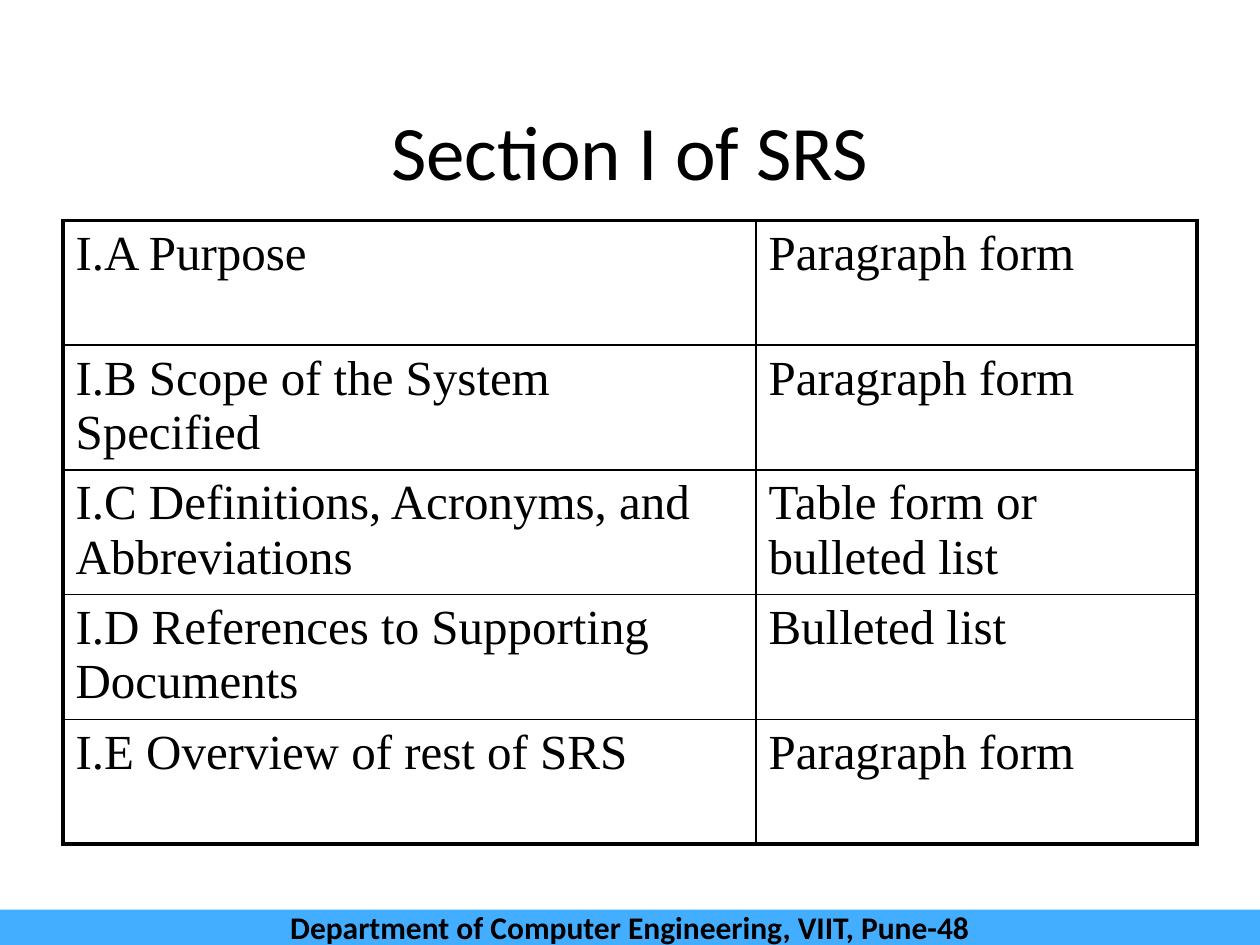
from dataclasses import dataclass

from lxml import etree
from pptx import Presentation
from pptx.dml.color import RGBColor
from pptx.enum.shapes import MSO_SHAPE
from pptx.enum.text import MSO_ANCHOR, PP_ALIGN
from pptx.oxml.ns import qn
from pptx.util import Inches, Pt

RECTANGLE = MSO_SHAPE.RECTANGLE
MIDDLE = MSO_ANCHOR.MIDDLE
TOP = MSO_ANCHOR.TOP
CENTER = PP_ALIGN.CENTER
LEFT = PP_ALIGN.LEFT

SLIDE_WIDTH, SLIDE_HEIGHT = Inches(10), Inches(7.5)
TITLE_ONLY_LAYOUT = 5


@dataclass(frozen=True)
class TextStyle:
    font: str
    size: float
    bold: bool = False


@dataclass(frozen=True)
class Theme:
    ink: str = "000000"
    bar: str = "43AEFF"
    title: TextStyle = TextStyle("Calibri", 44)
    cell: TextStyle = TextStyle("Times New Roman", 28)
    footer: TextStyle = TextStyle("Calibri", 18, True)
    outer_border: float = 2.25
    inner_border: float = 1


@dataclass(frozen=True)
class Section:
    name: str
    form: str


THEME = Theme()
COLUMN_WIDTHS = (5.5, 3.5)
ROW_HEIGHT = 0.99
SECTIONS = (
    Section("I.A Purpose", "Paragraph form"),
    Section("I.B Scope of the System Specified", "Paragraph form"),
    Section("I.C Definitions, Acronyms, and Abbreviations",
            "Table form or bulleted list"),
    Section("I.D References to Supporting Documents", "Bulleted list"),
    Section("I.E Overview of rest of SRS", "Paragraph form"),
)


def write(text_frame, text: str, style: TextStyle, alignment) -> None:
    paragraph = text_frame.paragraphs[0]
    paragraph.alignment = alignment
    run = paragraph.add_run()
    run.text = text
    run.font.name = style.font
    run.font.size = Pt(style.size)
    run.font.bold = style.bold
    run.font.color.rgb = RGBColor.from_string(THEME.ink)


def add_border(cell, side: str, is_outer: bool) -> None:
    width = THEME.outer_border if is_outer else THEME.inner_border
    properties = cell._tc.get_or_add_tcPr()
    line = etree.SubElement(properties, qn(f"a:ln{side}"), w=str(Pt(width)))
    fill = etree.SubElement(line, qn("a:solidFill"))
    etree.SubElement(fill, qn("a:srgbClr"), val=THEME.ink)


def add_title(slide, text: str) -> None:
    title = slide.shapes.title
    title.left, title.top = Inches(0.75), Inches(0.67)
    title.width, title.height = Inches(8.5), Inches(1.03)
    title.text_frame.vertical_anchor = MIDDLE
    write(title.text_frame, text, THEME.title, CENTER)


def add_section_table(slide, sections: tuple[Section, ...]) -> None:
    row_count, column_count = len(sections), len(COLUMN_WIDTHS)
    frame = slide.shapes.add_table(
        row_count, column_count, Inches(0.5), Inches(1.75),
        Inches(sum(COLUMN_WIDTHS)), Inches(ROW_HEIGHT * row_count))
    table = frame.table
    table.first_row = table.horz_banding = False
    for column, width in zip(table.columns, COLUMN_WIDTHS):
        column.width = Inches(width)

    for row_index, section in enumerate(sections):
        table.rows[row_index].height = Inches(ROW_HEIGHT)
        for column_index, text in enumerate((section.name, section.form)):
            cell = table.cell(row_index, column_index)
            cell.vertical_anchor = TOP
            write(cell.text_frame, text, THEME.cell, LEFT)
            # Heavy lines on the outside of the grid, thin ones inside
            add_border(cell, "L", column_index == 0)
            add_border(cell, "R", column_index == column_count - 1)
            add_border(cell, "T", row_index == 0)
            add_border(cell, "B", row_index == row_count - 1)
            cell.fill.background()


def add_footer_bar(slide, text: str) -> None:
    height = Inches(0.28)
    bar = slide.shapes.add_shape(
        RECTANGLE, 0, SLIDE_HEIGHT - height, SLIDE_WIDTH, height)
    bar.shadow.inherit = False
    bar.fill.solid()
    bar.fill.fore_color.rgb = RGBColor.from_string(THEME.bar)
    bar.line.fill.background()
    text_frame = bar.text_frame
    text_frame.word_wrap = True
    text_frame.vertical_anchor = MIDDLE
    text_frame.margin_top = text_frame.margin_bottom = 0
    write(text_frame, text, THEME.footer, CENTER)


def main() -> None:
    presentation = Presentation()
    presentation.slide_width = SLIDE_WIDTH
    presentation.slide_height = SLIDE_HEIGHT
    slide = presentation.slides.add_slide(
        presentation.slide_layouts[TITLE_ONLY_LAYOUT])
    add_title(slide, "Section I of SRS")
    add_section_table(slide, SECTIONS)
    add_footer_bar(slide, "Department of Computer Engineering, VIIT, Pune-48")
    presentation.save("out.pptx")


if __name__ == "__main__":
    main()
